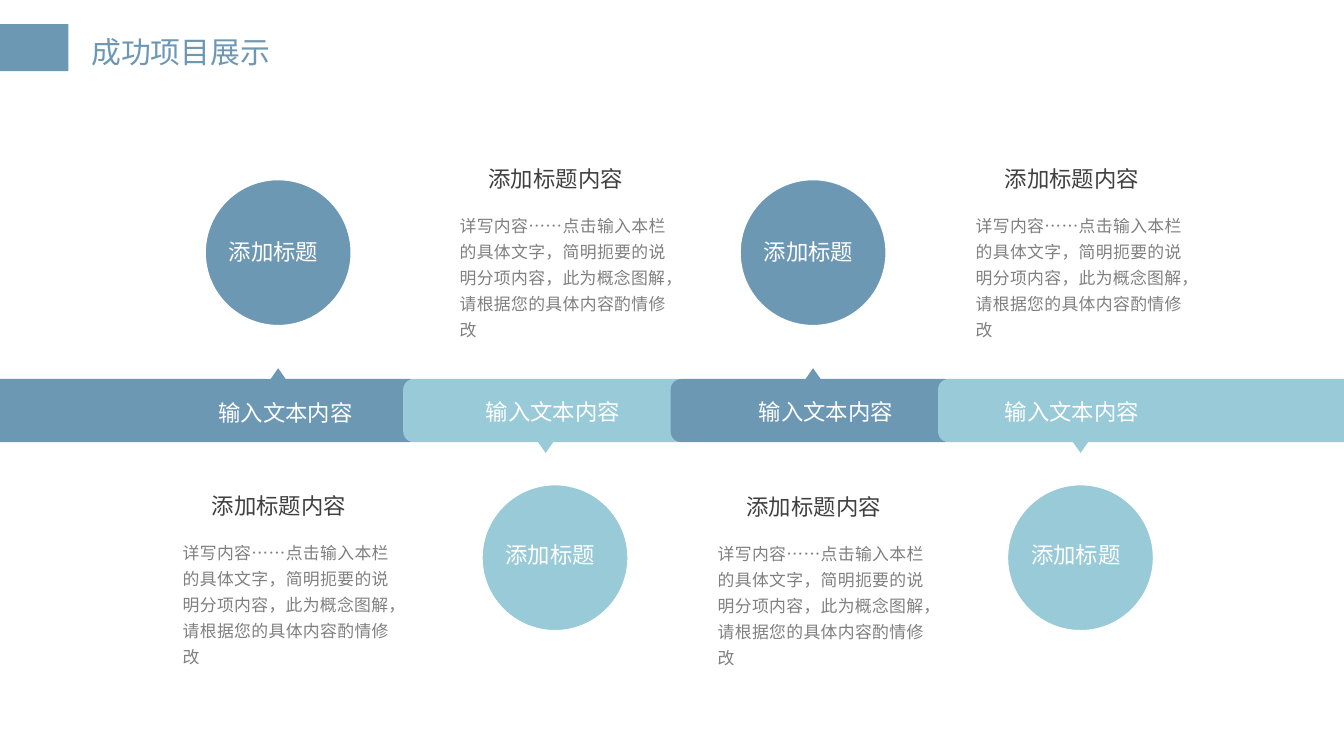
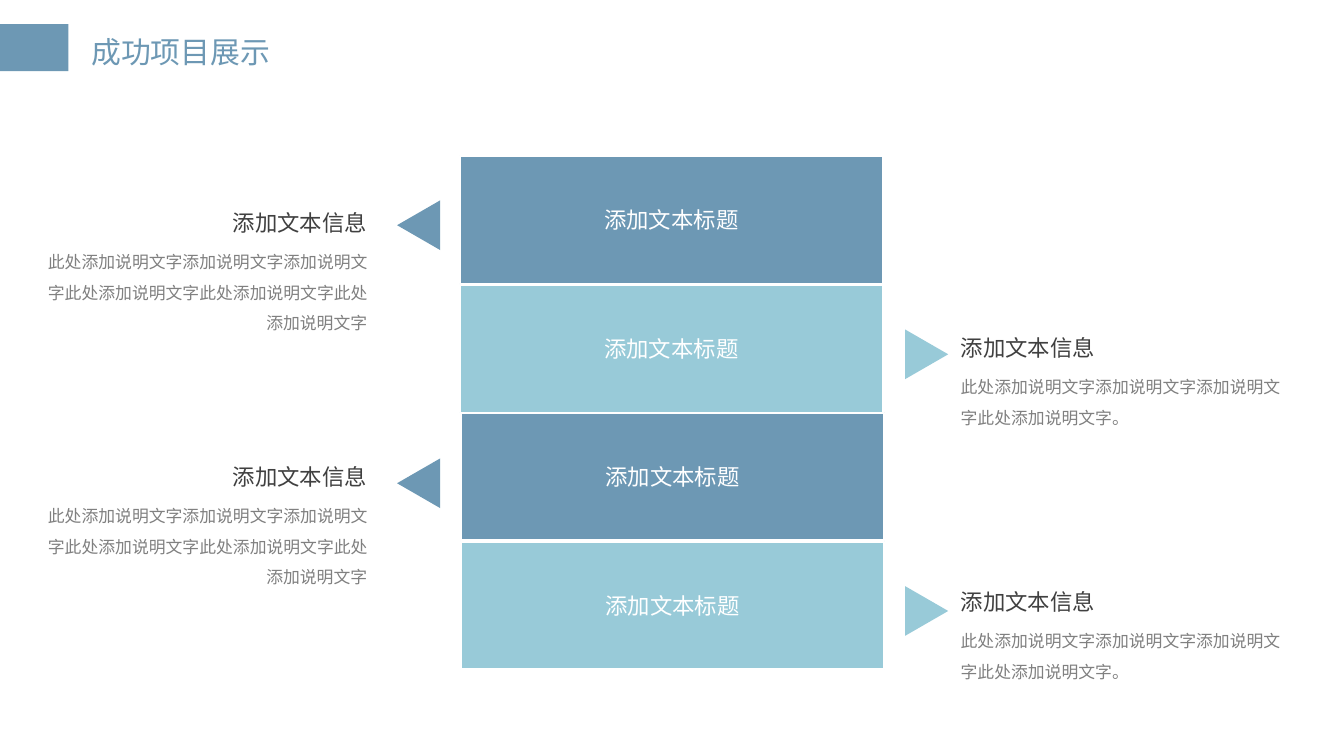
from dataclasses import dataclass

from lxml import etree
from pptx import Presentation
from pptx import util as u
from pptx.dml.color import RGBColor
from pptx.enum import shapes, text
from pptx.oxml.ns import qn

FONT = "Noto Sans CJK SC"
BLUE, AQUA, WHITE = "6D98B4", "98CAD8", "FFFFFF"
DARK, GREY = "404040", "808080"
SHAPE = shapes.MSO_SHAPE
ALIGN = text.PP_ALIGN

STEP_PITCH = 1.99
STEP_NOTE = (
    "详写内容……点击输入本栏的具体文字，简明扼要的说明分项内容，"
    "此为概念图解，请根据您的具体内容酌情修改"
)
LEFT_NOTE = (
    "此处添加说明文字添加说明文字添加说明文字此处添加说明文字"
    "此处添加说明文字此处添加说明文字"
)
RIGHT_NOTE = "此处添加说明文字添加说明文字添加说明文字此处添加说明文字。"


@dataclass
class Step:
    band_left: float
    band_width: float
    circle_left: float
    label_left: float
    label_top: float
    note_left: float
    note_top: float


STEPS = [
    Step(-0.12, 3.25, 1.49, 1.47, 2.97, 1.42, 3.66),
    Step(3.00, 2.12, 3.55, 3.46, 2.96, 3.48, 1.23),
    Step(4.99, 2.12, 5.47, 5.49, 2.96, 5.40, 3.67),
    Step(6.98, 3.14, 7.46, 7.32, 2.96, 7.32, 1.23),
]


def colour(value):
    return RGBColor.from_string(value)


def place(left, top, width, height):
    return [u.Inches(length) for length in (left, top, width, height)]


def style(paragraph, size, fill, align=ALIGN.LEFT):
    paragraph.alignment = align
    font = paragraph.font
    font.size = u.Pt(size)
    font.color.rgb = colour(fill)
    font.name = FONT
    # Chinese text takes its typeface from a:ea
    etree.SubElement(font._element, qn("a:ea")).set("typeface", FONT)


def add_block(parent, kind, box, fill, outline=0):
    """Add a filled shape, with a white outline of the given points."""
    shape = parent.shapes.add_shape(kind, *place(*box))
    shape.shadow.inherit = False
    shape.fill.solid()
    shape.fill.fore_color.rgb = colour(fill)
    if outline:
        shape.line.color.rgb = colour(WHITE)
        shape.line.width = u.Pt(outline)
    else:
        shape.line.fill.background()
    return shape


def add_text(slide, box, words, size, fill, align=ALIGN.CENTER, margins=(0, 0), wrap=True):
    """Add a one-paragraph box that grows with its text."""
    frame = slide.shapes.add_textbox(*place(*box)).text_frame
    frame.margin_left = frame.margin_right = u.Inches(margins[0])
    frame.margin_top = frame.margin_bottom = u.Inches(margins[1])
    frame.word_wrap = wrap
    frame.auto_size = text.MSO_AUTO_SIZE.SHAPE_TO_FIT_TEXT
    paragraph = frame.paragraphs[0]
    paragraph.text = words
    style(paragraph, size, fill, align)
    return paragraph


def add_titled_slide(presentation, title):
    slide = presentation.slides.add_slide(presentation.slide_layouts[6])
    add_block(slide, SHAPE.RECTANGLE, (0, 0.18, 0.51, 0.35), BLUE)
    add_text(slide, (0.6, 0.21, 1.5, 0.35), title, 16, BLUE, ALIGN.LEFT, (0.08, 0.04), wrap=False)
    return slide


def add_band(slide, index, step, fill, points_up):
    """Add one band with its pointer; the end bands run off the slide."""
    group = slide.shapes.add_group_shape()
    add_block(group, SHAPE.ROUNDED_RECTANGLE, (step.band_left, 2.82, step.band_width, 0.47), fill)
    pointer_top = 2.74 if points_up else 3.27
    pointer_box = (2 + STEP_PITCH * index, pointer_top, 0.14, 0.1)
    pointer = add_block(group, SHAPE.ISOSCELES_TRIANGLE, pointer_box, fill)
    if not points_up:
        pointer.rotation = 180


def add_step(slide, index, step):
    points_up = index % 2 == 0
    fill = BLUE if points_up else AQUA
    circle_top = 1.3 if points_up else 3.57
    circle_label_top = 1.77 if points_up else 4.03
    add_band(slide, index, step, fill, points_up)
    add_block(slide, SHAPE.OVAL, (step.circle_left, circle_top, 1.16, 1.16), fill, outline=6)
    circle_label_box = (step.circle_left + 0.2, circle_label_top, 0.69, 0.2)
    add_text(slide, circle_label_box, "添加标题", 12, WHITE)
    add_text(slide, (step.label_left, step.label_top, 1.31, 0.2), "输入文本内容", 12, WHITE)
    add_text(slide, (step.note_left, step.note_top, 1.31, 0.2), "添加标题内容", 12, DARK)
    note_box = (step.note_left - 0.06, step.note_top + 0.33, 1.53, 0.98)
    note = add_text(slide, note_box, STEP_NOTE, 9, GREY, ALIGN.JUSTIFY)
    note.line_spacing = u.Pt(14)


def add_bar(slide, box, fill):
    bar = add_block(slide, SHAPE.RECTANGLE, box, fill, outline=1)
    frame = bar.text_frame
    frame.vertical_anchor = text.MSO_ANCHOR.MIDDLE
    frame.paragraphs[0].text = "添加文本标题"
    style(frame.paragraphs[0], 12, WHITE, ALIGN.CENTER)


def add_arrow(slide, left, top, fill, rotation):
    arrow = add_block(slide, SHAPE.ISOSCELES_TRIANGLE, (left, top, 0.37, 0.32), fill)
    arrow.rotation = rotation


def add_side_note(slide, left, top, words, align):
    frame = slide.shapes.add_textbox(*place(left, top, 2.63, 1.19)).text_frame
    frame.word_wrap = True
    heading = frame.paragraphs[0]
    heading.text = "添加文本信息"
    style(heading, 12, DARK, align)
    body = frame.add_paragraph()
    body.text = words
    body.line_spacing = 1.5
    body.space_before = u.Pt(3)
    style(body, 9, GREY, align)


def build_timeline(presentation):
    slide = add_titled_slide(presentation, "成功项目展示")
    for index, step in enumerate(STEPS):
        add_step(slide, index, step)


def build_stack(presentation):
    slide = add_titled_slide(presentation, "成功项目展示")
    bars = [(3.42, 1.16), (3.42, 2.12), (3.43, 3.07), (3.43, 4.03)]
    for index, (left, top) in enumerate(bars):
        add_bar(slide, (left, top, 3.15, 0.95), AQUA if index % 2 else BLUE)
    for arrow_top, note_top in [(1.47, 1.51), (3.39, 3.4)]:
        add_arrow(slide, 3.01, arrow_top, BLUE, 30)
        add_side_note(slide, 0.2, note_top, LEFT_NOTE, ALIGN.RIGHT)
    for arrow_top, note_top in [(2.43, 2.44), (4.34, 4.33)]:
        add_arrow(slide, 6.63, arrow_top, AQUA, 330)
        add_side_note(slide, 7.05, note_top, RIGHT_NOTE, ALIGN.LEFT)


def main():
    presentation = Presentation()
    presentation.slide_width = u.Inches(10)
    presentation.slide_height = u.Inches(10) * 9 // 16
    build_timeline(presentation)
    build_stack(presentation)
    presentation.save("out.pptx")


if __name__ == "__main__":
    main()
